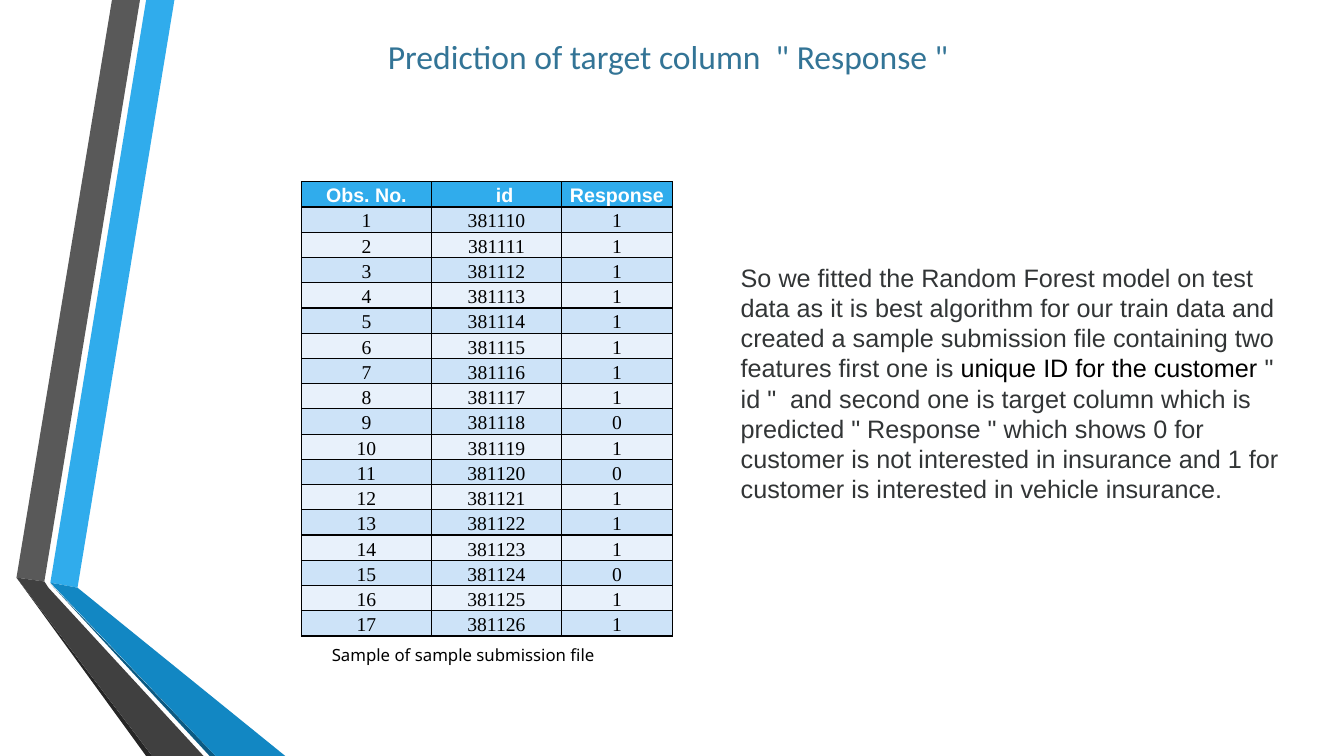
from lxml import etree
from pptx import Presentation
from pptx.dml.color import RGBColor
from pptx.enum.text import MSO_ANCHOR, MSO_AUTO_SIZE, PP_ALIGN
from pptx.oxml.ns import qn
from pptx.util import Pt

CENTER = PP_ALIGN.CENTER
BOTTOM = MSO_ANCHOR.BOTTOM
GROW = MSO_AUTO_SIZE.SHAPE_TO_FIT_TEXT

BLUE, NAVY, GRAPHITE, BLACK = "30ACEC", "0C5A82", "323536", "000000"
BANDS = ("CDE3F8", "E8F1FB")
RIBBONS = [
    (BLUE, [(36, 416.2), (55.4, 419.8), (124.6, 0), (104.4, 0)]),
    ("595959", [(100, 0), (80, 0), (11.8, 412.6), (31.7, 415.4)]),
    ("262626", [(11.8, 412.6), (104.4, 540), (108.7, 540)]),
    (NAVY, [(36, 416.9), (149.8, 540), (154.1, 540)]),
    ("1287C3", [(36, 416.2), (154.1, 540), (203.8, 540), (55.4, 419.8)]),
    ("404040", [(145.4, 540), (34.6, 419.8), (31.7, 415.4), (11.8, 412.6), (108.7, 540)]),
]
HEADINGS = ("Obs. No.", "id", "Response")
RESPONSES = (1, 1, 1, 1, 1, 1, 1, 1, 0, 1, 0, 1, 1, 1, 0, 1, 1)
FIRST_ID = 381110
COLUMN_WIDTHS = (92.9, 92.9, 79.2)
ID_HEADING_INDENT = 12.4
EXPLANATION = [
    ("So we fitted the Random Forest model on test data as it is best algorithm for our "
     "train data and created a sample submission file containing two features first one is ",
     GRAPHITE),
    ("unique ID for the customer ", BLACK),
    ('" id "  and second one is target column which is predicted " Response " which shows '
     "0 for customer is not interested in insurance and 1 for customer is interested in "
     "vehicle insurance.", GRAPHITE),
]


def color(hex_value):
    """Turn a hex string into a colour."""
    return RGBColor.from_string(hex_value)


def style(run, font, size, hex_value, bold=False):
    """Format one run."""
    run.font.name = font
    run.font.size = Pt(size)
    run.font.bold = bold
    run.font.color.rgb = color(hex_value)


def add_ribbons(slide, left, top):
    """Draw the folded ribbons from the given corner."""
    for fill, corners in RIBBONS:
        points = [(Pt(left + x), Pt(top + y)) for x, y in corners]
        outline = slide.shapes.build_freeform(*points[0])
        outline.add_line_segments(points[1:], close=True)
        ribbon = outline.convert_to_shape()
        ribbon.shadow.inherit = False
        ribbon.fill.solid()
        ribbon.fill.fore_color.rgb = color(fill)
        ribbon.line.fill.background()


def add_text(slide, box, parts, font, size):
    """Place one paragraph of coloured parts in a box and return its runs."""
    frame = slide.shapes.add_textbox(*map(Pt, box)).text_frame
    frame.word_wrap = True
    frame.auto_size = GROW
    runs = []
    for words, hex_value in parts:
        run = frame.paragraphs[0].add_run()
        run.text = words
        style(run, font, size, hex_value)
        runs.append(run)
    return runs


def add_title(slide, box):
    """Place the slightly transparent title."""
    title = add_text(slide, box, [('Prediction of target column  " Response "', NAVY)],
                     "Calibri", 24)[0]
    tint = title.font.fill._xPr.find(qn("a:solidFill"))[0]
    etree.SubElement(tint, qn("a:alpha"), val="83000")


def add_borders(cell):
    """Give a cell thin black borders on all sides."""
    properties = cell._tc.get_or_add_tcPr()
    for side in ("lnL", "lnR", "lnT", "lnB"):
        border = etree.SubElement(properties, qn(f"a:{side}"), w=str(Pt(1)))
        ink = etree.SubElement(border, qn("a:solidFill"))
        etree.SubElement(ink, qn("a:srgbClr"), val=BLACK)


def fill_cell(cell, words, fill, **font):
    """Write and format one table cell."""
    cell.margin_left = cell.margin_right = cell.margin_top = Pt(0.72)
    cell.margin_bottom = 0
    cell.vertical_anchor = BOTTOM
    add_borders(cell)
    cell.fill.solid()
    cell.fill.fore_color.rgb = color(fill)
    paragraph = cell.text_frame.paragraphs[0]
    paragraph.text = words
    paragraph.alignment = CENTER
    style(paragraph.runs[0], size=14, **font)


def add_predictions(slide, box):
    """Place the table of predicted responses."""
    records = [(number, FIRST_ID + number - 1, response)
               for number, response in enumerate(RESPONSES, 1)]
    predictions = slide.shapes.add_table(
        len(records) + 1, len(HEADINGS), *map(Pt, box)).table
    for column, width in zip(predictions.columns, COLUMN_WIDTHS):
        column.width = Pt(width)
    for row in predictions.rows:
        row.height = Pt(box[3] / (len(records) + 1))
    for c, heading in enumerate(HEADINGS):
        fill_cell(predictions.cell(0, c), heading, BLUE,
                  font="Arial", hex_value="FFFFFF", bold=True)
    predictions.cell(0, 1).margin_left = Pt(ID_HEADING_INDENT)
    for r, record in enumerate(records, 1):
        for c, value in enumerate(record):
            fill_cell(predictions.cell(r, c), str(value), BANDS[(r - 1) % 2],
                      font="Times New Roman", hex_value=BLACK)


def main():
    """Build the slide and save it."""
    deck = Presentation()
    deck.slide_width, deck.slide_height = Pt(960), Pt(540)
    slide = deck.slides.add_slide(deck.slide_layouts[6])
    add_ribbons(slide, 0, 0)
    add_title(slide, (270, 22.3, 597.6, 36))
    add_text(slide, (522, 183.6, 411.8, 203.8), EXPLANATION, "Arial", 18)
    add_predictions(slide, (215.3, 129.8, 265, 324.7))
    add_text(slide, (229.9, 456.9, 323.3, 21.6),
             [("Sample of sample submission file", BLACK)], "Noto Sans", 12)
    deck.save("out.pptx")


if __name__ == "__main__":
    main()
